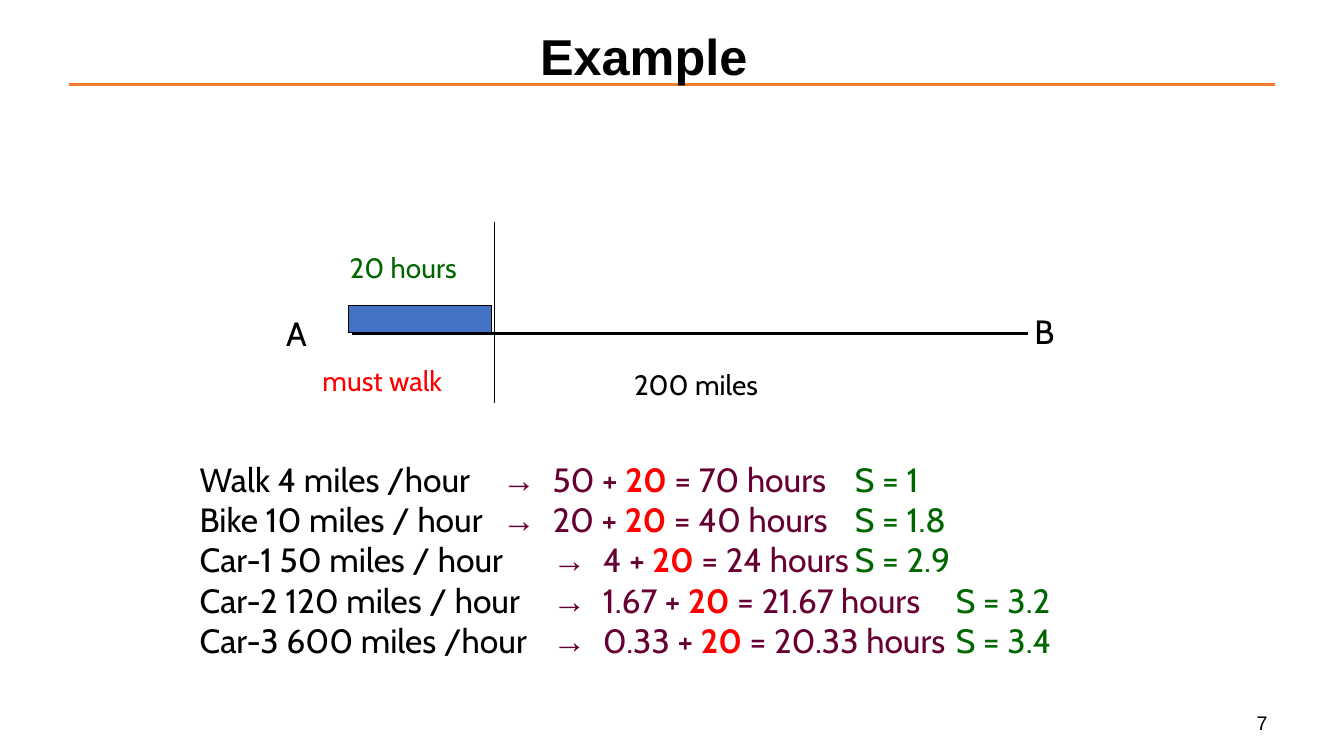
from lxml.etree import SubElement
from pptx import Presentation
from pptx.dml.color import RGBColor
from pptx.enum.shapes import MSO_CONNECTOR, MSO_SHAPE
from pptx.enum.text import MSO_ANCHOR, MSO_AUTO_SIZE, PP_ALIGN
from pptx.oxml.ns import qn
from pptx.util import Inches, Pt

TITLE = "Example"
PAGE_NUMBER = "7"
WALK_HOURS = "20"

# travel mode, riding hours, total, speedup, tab stops of arrow, sum and speedup
TRIPS = [
    ("Walk 4 miles /hour", "50", "70", "1", (3.21, 3.76, 7.14)),
    ("Bike 10 miles / hour", "20", "40", "1.8", (3.19, 3.73, 7.13)),
    ("Car-1 50 miles / hour", "4", "24", "2.9", (3.24, 3.93, 7.05)),
    ("Car-2 120 miles / hour", "1.67", "21.67", "3.2", (3.26, 3.64, 7.1)),
    ("Car-3 600 miles /hour", "0.33", "20.33", "3.4", (3.4, 3.79, 7.49)),
]


class Theme:
    heading_font, body_font = "Arial", "Cabin"
    ink, accent, bar = "000000", "ED7D31", "4472C4"
    green, red, plum = "006600", "FF0000", "660033"
    title, large, label, page = 36, 24, 20, 14
    thick, thin = 2.25, 0.75


# text, box, size, colour
LABELS = [
    ("20 hours", (3.37, 2.44, 1.42, 0.43), Theme.label, Theme.green),
    ("200 miles", (6.19, 3.6, 1.56, 0.43), Theme.label, Theme.ink),
    ("A", (2.74, 3.06, 0.42, 0.5), Theme.large, Theme.ink),
    ("B", (10.16, 3.04, 0.42, 0.5), Theme.large, Theme.ink),
    ("must walk", (3.1, 3.56, 1.62, 0.43), Theme.label, Theme.red),
]


def inches(values):
    return [Inches(value) for value in values]


def style(run, size, color, font=Theme.body_font, bold=False):
    run.font.size = Pt(size)
    run.font.name = font
    run.font.bold = bold
    run.font.color.rgb = RGBColor.from_string(color)


def add_line(slide, ends, color, width):
    line = slide.shapes.add_connector(MSO_CONNECTOR.STRAIGHT, *inches(ends))
    line.line.color.rgb = RGBColor.from_string(color)
    line.line.width = Pt(width)
    SubElement(line._element.spPr, qn("a:effectLst"))


def place(placeholder, box):
    placeholder.left, placeholder.top, placeholder.width, placeholder.height = inches(box)
    placeholder.text_frame.auto_size = MSO_AUTO_SIZE.NONE


def add_label(slide, text, box, size, color, font=Theme.body_font):
    frame = slide.shapes.add_textbox(*inches(box)).text_frame
    frame.word_wrap = False
    frame.text = text
    style(frame.paragraphs[0].runs[0], size, color, font)
    return frame


def set_tabs(paragraph, stops):
    """Drop bullet and indent, then set left tab stops in inches."""
    paragraph.space_before = Pt(0)
    props = paragraph._p.get_or_add_pPr()
    props.set("marL", "0")
    props.set("indent", "0")
    SubElement(props, qn("a:buNone"))
    tabs = SubElement(props, qn("a:tabLst"))
    for stop in stops:
        SubElement(tabs, qn("a:tab"), pos=str(Inches(stop)), algn="l")


def add_trip(paragraph, mode, ride, total, speedup, stops):
    set_tabs(paragraph, stops)
    pieces = [
        (f"{mode}\t", Theme.ink, Theme.body_font, False),
        ("→", Theme.plum, Theme.heading_font, False),
        (f"\t{ride} + ", Theme.plum, Theme.body_font, False),
        (WALK_HOURS, Theme.red, Theme.body_font, True),
        (f" = {total} hours\t", Theme.plum, Theme.body_font, False),
        (f"S = {speedup}", Theme.green, Theme.body_font, False),
    ]
    for text, color, font, bold in pieces:
        run = paragraph.add_run()
        run.text = text
        style(run, Theme.large, color, font, bold)


def main():
    prs = Presentation()
    prs.slide_width, prs.slide_height = inches((13.33, 7.5))
    slide = prs.slides.add_slide(prs.slide_layouts[1])
    title, trips = slide.placeholders

    add_line(slide, (0.68, 0.84, 12.65, 0.84), Theme.accent, Theme.thick)
    place(title, (4.3, 0.21, 4.17, 0.67))
    title.text_frame.text = TITLE
    title.text_frame.vertical_anchor = MSO_ANCHOR.MIDDLE
    heading = title.text_frame.paragraphs[0]
    heading.alignment = PP_ALIGN.CENTER
    style(heading.runs[0], Theme.title, Theme.ink, Theme.heading_font, True)
    slide.shapes._spTree.append(title._element)  # title in front of its rule

    add_line(slide, (3.49, 3.31, 10.2, 3.31), Theme.ink, Theme.thick)
    walk = slide.shapes.add_shape(MSO_SHAPE.RECTANGLE, *inches((3.46, 3.03, 1.42, 0.27)))
    walk.shadow.inherit = False
    walk.fill.solid()
    walk.fill.fore_color.rgb = RGBColor.from_string(Theme.bar)
    walk.line.color.rgb = RGBColor.from_string(Theme.ink)
    walk.line.width = Pt(Theme.thin)
    add_line(slide, (4.9, 2.2, 4.9, 4), Theme.ink, Theme.thin)
    for label in LABELS:
        add_label(slide, *label)

    place(trips, (1.88, 4.5, 10.27, 2.9))
    frame = trips.text_frame
    frame.vertical_anchor = MSO_ANCHOR.TOP
    for index, trip in enumerate(TRIPS):
        add_trip(frame.add_paragraph() if index else frame.paragraphs[0], *trip)

    page = add_label(slide, PAGE_NUMBER, (9.56, 6.98, 3.11, 0.37),
                     Theme.page, Theme.ink, Theme.heading_font)
    page.word_wrap = True
    page.vertical_anchor = MSO_ANCHOR.MIDDLE
    page.paragraphs[0].alignment = PP_ALIGN.RIGHT
    prs.save("out.pptx")


if __name__ == "__main__":
    main()
